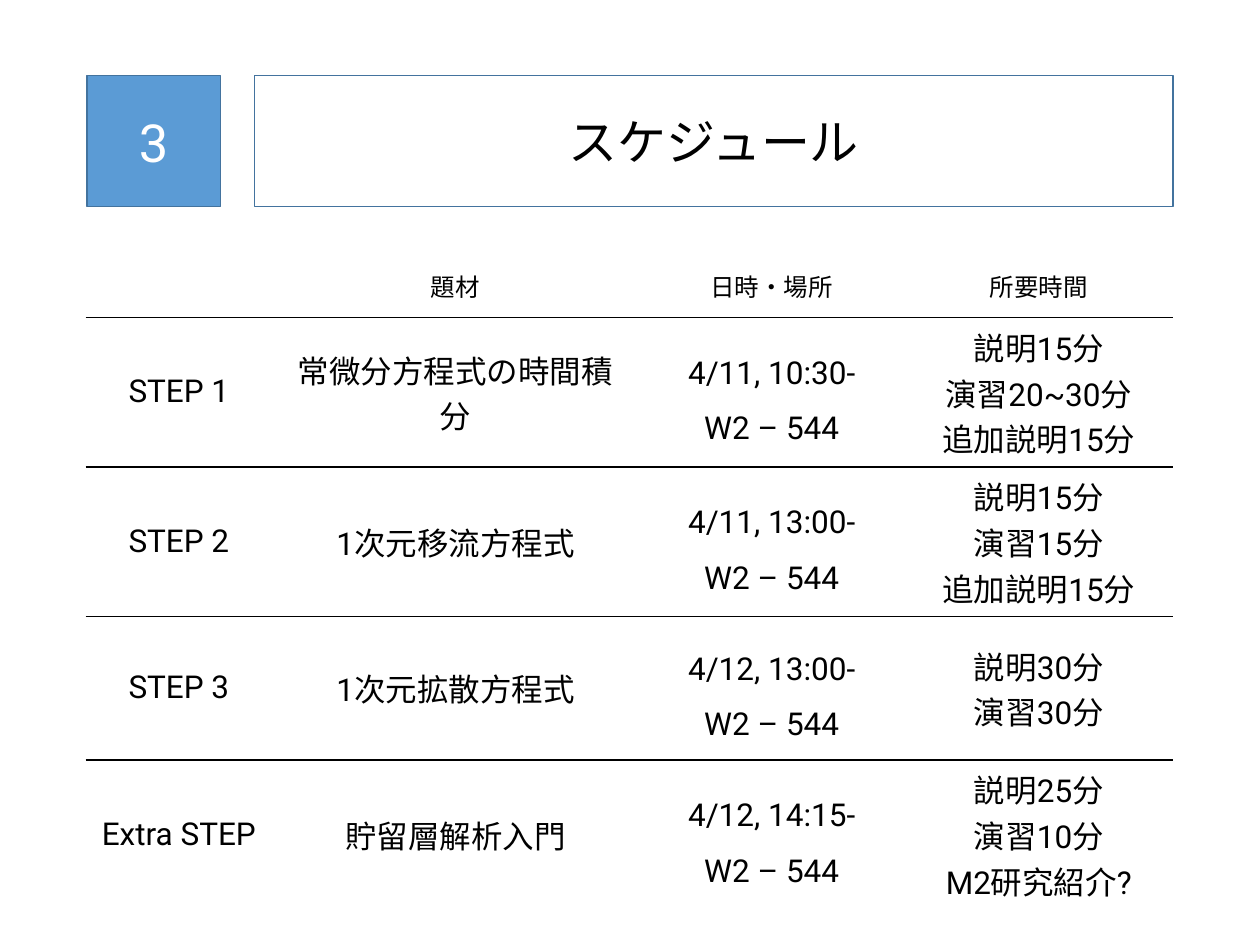
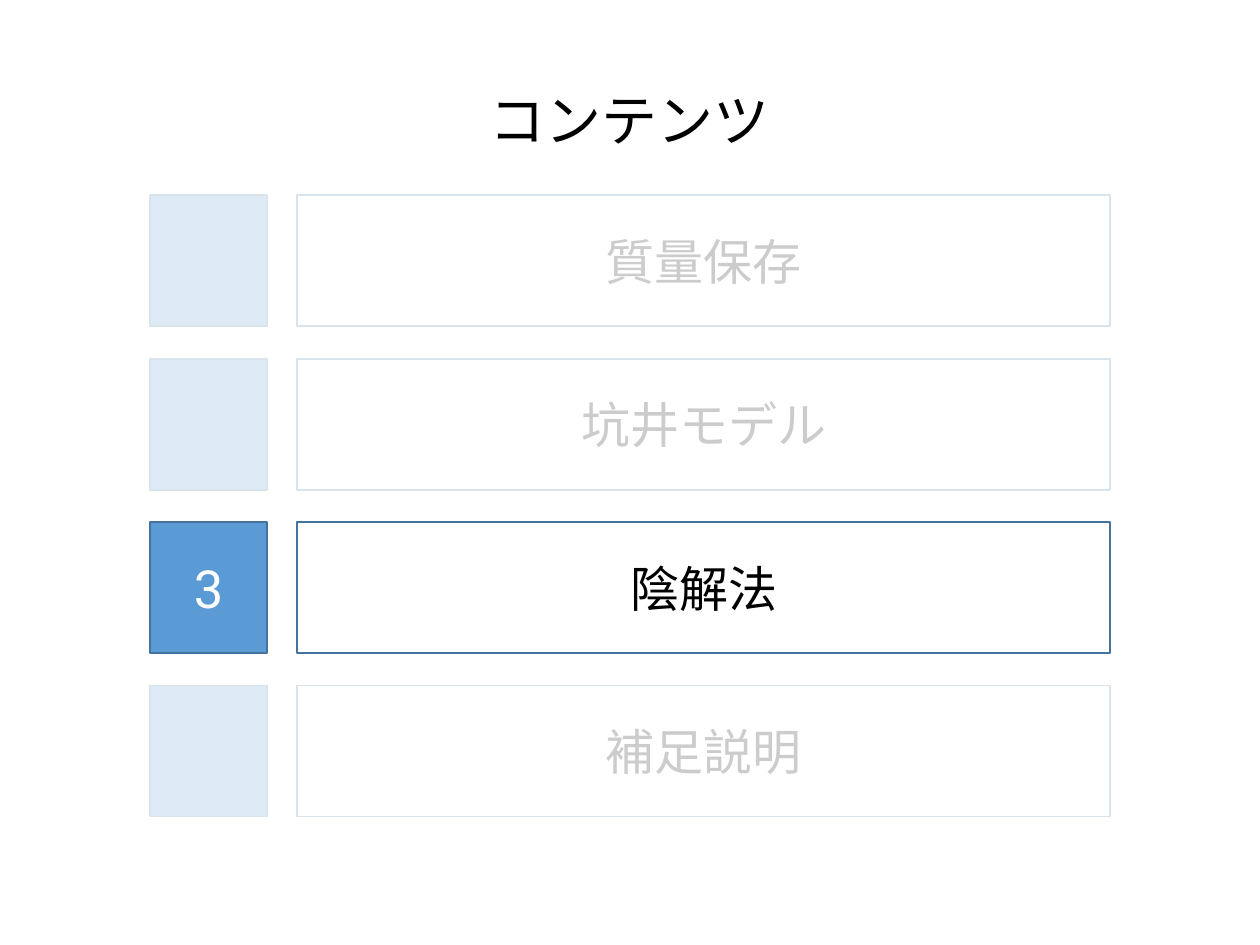
import pptx
import pptx.util
import pptx.dml.color
import pptx.enum.shapes
import pptx.enum.text
import pptx.oxml
import pptx.oxml.ns
import lxml.etree

COLORS = {"accent": "5B9BD5", "edge": "43739E", "ink": "000000", "paper": "FFFFFF"}
FONT = "Roboto"
WIDTH, HEIGHT = 10, 7.5
BAR_H = 1.04
QN = pptx.oxml.ns.qn
INCH = pptx.util.Inches

HEADINGS = ["", "題材", "日時・場所", "所要時間"]
STEPS = [
    ["STEP 1", "常微分方程式の時間積分", "4/11, 10:30-\nW2 – 544",
     "説明15分\n演習20~30分\n追加説明15分"],
    ["STEP 2", "1次元移流方程式", "4/11, 13:00-\nW2 – 544",
     "説明15分\n演習15分\n追加説明15分"],
    ["STEP 3", "1次元拡散方程式", "4/12, 13:00-\nW2 – 544", "説明30分\n演習30分"],
    ["Extra STEP", "貯留層解析入門", "4/12, 14:15-\nW2 – 544",
     "説明25分\n演習10分\nM2研究紹介?"],
]
CONTENTS = ["質量保存", "坑井モデル", "陰解法", "補足説明"]
CURRENT = 3


def rgb(name):
    return pptx.dml.color.RGBColor.from_string(COLORS[name])


def write(tf, text, size=18, color="ink", spacing=None):
    """Fill a text frame with centred paragraphs, one for each line."""
    tf.word_wrap = True
    tf.vertical_anchor = pptx.enum.text.MSO_ANCHOR.MIDDLE
    for i, line in enumerate(text.split("\n")):
        p = tf.add_paragraph() if i else tf.paragraphs[0]
        p.alignment = pptx.enum.text.PP_ALIGN.CENTER
        if spacing:
            p.line_spacing = spacing
        r = p.add_run()
        r.text = line
        r.font.name = FONT
        r.font.size = pptx.util.Pt(size)
        r.font.color.rgb = rgb(color)


def box(shapes, x, y, w, h, fill=None, line="edge", opacity=None):
    sp = shapes.add_shape(pptx.enum.shapes.MSO_SHAPE.RECTANGLE,
                          INCH(x), INCH(y), INCH(w), INCH(h))
    sp.shadow.inherit = False
    if fill:
        sp.fill.solid()
        sp.fill.fore_color.rgb = rgb(fill)
    else:
        sp.fill.background()
    if opacity:
        color = sp._element.spPr.find(QN("a:solidFill"))[0]
        lxml.etree.SubElement(color, QN("a:alpha")).set("val", str(opacity * 1000))
    sp.line.color.rgb = rgb(line)
    sp.line.width = pptx.util.Pt(1)
    return sp


def numbered_bar(s, number, text, x, y, badge_w, gap):
    """Badge with a framed heading; the pair is centred on the slide."""
    group = s.shapes.add_group_shape()
    badge = box(group.shapes, x, y, badge_w, BAR_H, fill="accent")
    if number:
        write(badge.text_frame, str(number), size=30, color="paper")
    left = x + badge_w + gap
    frame = box(group.shapes, left, y, WIDTH - x - left, BAR_H)
    write(frame.text_frame, text, size=28)


def cell_borders(cell, ruled):
    """Show only the named sides ("T", "B") and clear the others."""
    tcPr = cell._tc.get_or_add_tcPr()
    for i, side in enumerate("LRTB"):
        ln = lxml.etree.Element(QN("a:ln" + side))
        ln.set("w", str(pptx.util.Pt(1)))
        if side in ruled:
            solid = lxml.etree.SubElement(ln, QN("a:solidFill"))
            lxml.etree.SubElement(solid, QN("a:srgbClr")).set("val", COLORS["ink"])
        else:
            lxml.etree.SubElement(ln, QN("a:noFill"))
        tcPr.insert(i, ln)


def ruled_table(s, x, y, col_widths, row_heights, rows):
    table = s.shapes.add_table(len(rows), len(col_widths), INCH(x), INCH(y),
                               INCH(sum(col_widths)), INCH(sum(row_heights))).table
    table.first_row = table.horz_banding = False
    for column, w in zip(table.columns, col_widths):
        column.width = INCH(w)
    for i, (row, h) in enumerate(zip(rows, row_heights)):
        table.rows[i].height = INCH(h)
        ruled = ("T" if i else "") + ("B" if i < len(rows) - 1 else "")
        for j, text in enumerate(row):
            cell = table.cell(i, j)
            cell.fill.background()
            cell_borders(cell, ruled)
            if text:
                write(cell.text_frame, text, size=18 if i else 14,
                      spacing=1.5 if i and j == 2 else None)
            # The anchor belongs to the cell, not to its text body
            cell.text_frame._txBody.bodyPr.attrib.clear()
            cell.vertical_anchor = pptx.enum.text.MSO_ANCHOR.MIDDLE


def schedule_slide(s):
    numbered_bar(s, 3, "スケジュール", x=0.69, y=0.6, badge_w=1.06, gap=0.27)
    ruled_table(s, 0.68, 2.02, [1.48, 2.91, 2.11, 2.13], [0.5] + [1.14] * 4,
                [HEADINGS] + STEPS)


def contents_slide(s):
    title = s.shapes.add_textbox(INCH(0.69), INCH(0.4), INCH(8.62), INCH(1.15))
    write(title.text_frame, "コンテンツ", size=32, spacing=0.9)
    top, last = 1.55, 5.44
    step = (last - top) / (len(CONTENTS) - 1)
    for i, text in enumerate(CONTENTS):
        number = CURRENT if i + 1 == CURRENT else None
        numbered_bar(s, number, text, x=1.19, y=top + step * i,
                     badge_w=0.93, gap=0.24)
    # Veils fade every chapter but the current one
    for y, w, h in [(1.34, 7.94, 2.67), (5.31, 8.03, 1.21)]:
        box(s.shapes, 0.99, y, w, h, fill="paper", line="paper", opacity=80)


def main():
    prs = pptx.Presentation()
    prs.slide_width, prs.slide_height = INCH(WIDTH), INCH(HEIGHT)
    for build in (schedule_slide, contents_slide):
        build(prs.slides.add_slide(prs.slide_layouts[6]))
    prs.save("out.pptx")


main()
